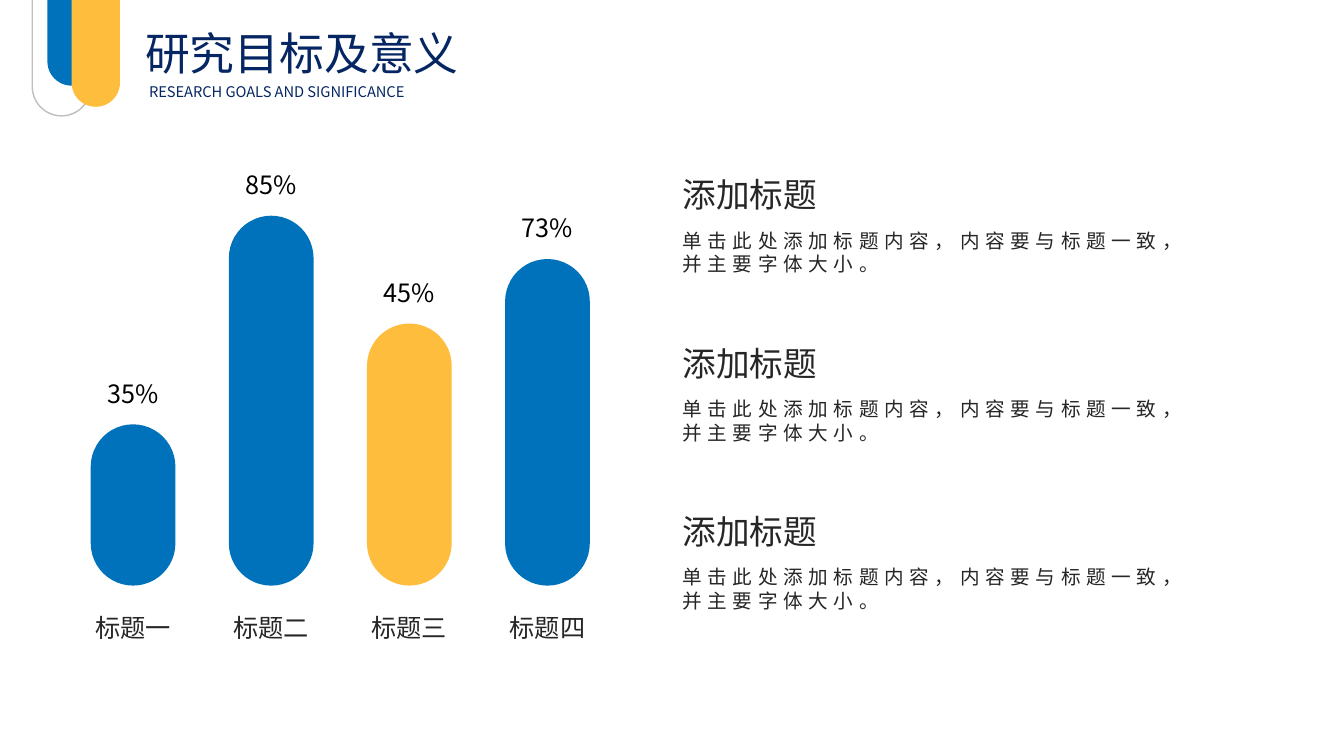
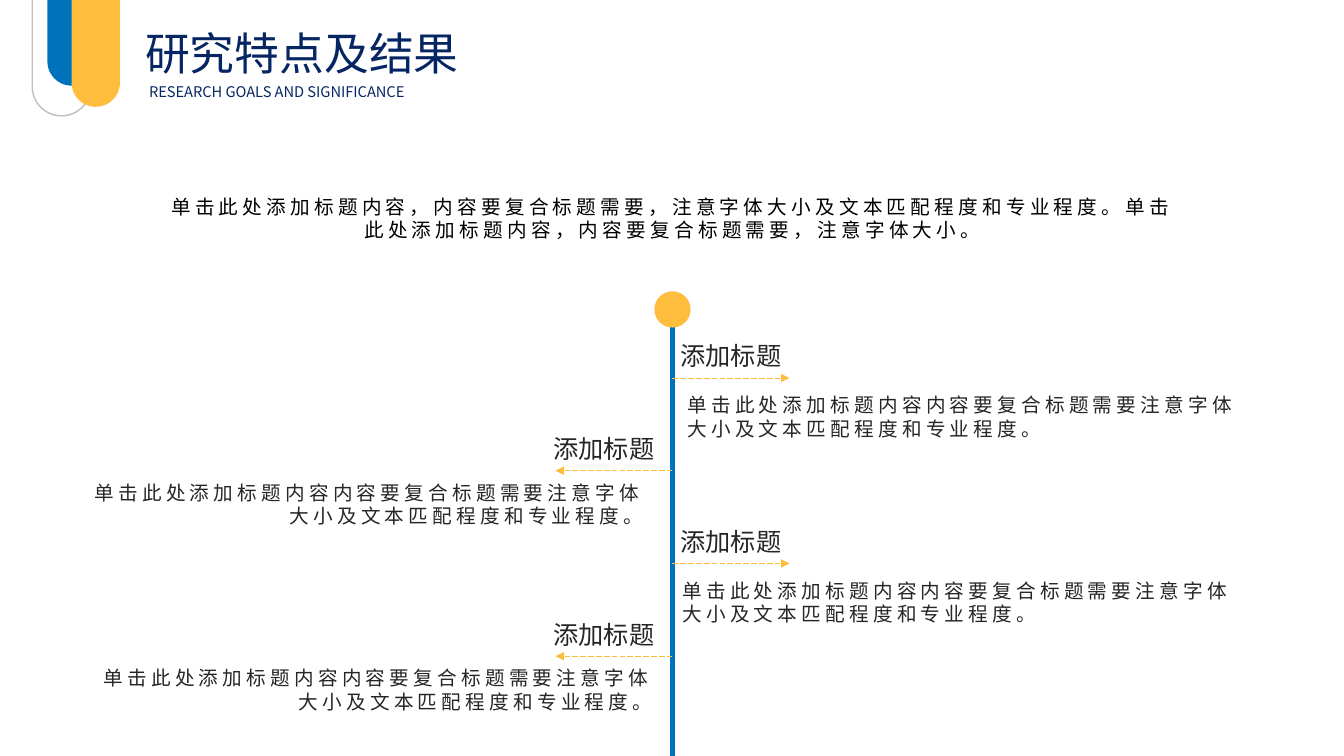
from lxml.etree import SubElement
from pptx import Presentation
from pptx.dml.color import RGBColor
from pptx.enum.dml import MSO_LINE
from pptx.enum.shapes import MSO_CONNECTOR, MSO_SHAPE
from pptx.enum.text import PP_ALIGN
from pptx.oxml.ns import qn
from pptx.util import Inches, Pt

BLUE = RGBColor(0x00, 0x72, 0xBB)
YELLOW = RGBColor(0xFE, 0xBD, 0x3D)
NAVY = RGBColor(0x05, 0x26, 0x63)
GRAY = RGBColor(0xBF, 0xBF, 0xBF)
DARK = RGBColor(0x26, 0x26, 0x26)
BLACK = RGBColor(0x00, 0x00, 0x00)
FONT = "Noto Sans CJK SC"

SUBTITLE = "RESEARCH GOALS AND SIGNIFICANCE"
ITEM_TITLE = "添加标题"
GOAL_TEXT = "单击此处添加标题内容，内容要与标题一致，并主要字体大小。"
RESULT_TEXT = "单击此处添加标题内容内容要复合标题需要注意字体大小及文本匹配程度和专业程度。"
INTRO_TEXT = (
    "单击此处添加标题内容，内容要复合标题需要，注意字体大小及文本匹配程度和专业程度。"
    "单击此处添加标题内容，内容要复合标题需要，注意字体大小。"
)


def add_text(slide, box, text, size, color, align=PP_ALIGN.LEFT, spacing=0):
    shape = slide.shapes.add_textbox(*map(Inches, box))
    shape.text_frame.word_wrap = True
    paragraph = shape.text_frame.paragraphs[0]
    paragraph.alignment = align
    run = paragraph.add_run()
    run.text = text
    run.font.size = Pt(size)
    run.font.color.rgb = color
    run.font.name = FONT
    properties = run.font._element
    SubElement(properties, qn("a:ea")).set("typeface", FONT)
    if spacing:
        properties.set("spc", str(spacing * 100))


def add_solid(slide, kind, box, fill=None, line=None):
    shape = slide.shapes.add_shape(kind, *map(Inches, box))
    shape.shadow.inherit = False
    if fill is None:
        shape.fill.background()
    else:
        shape.fill.solid()
        shape.fill.fore_color.rgb = fill
    if line is None:
        shape.line.fill.background()
    else:
        shape.line.color.rgb = line
        shape.line.width = Pt(1)
    return shape


def add_pill(slide, box, fill=None, line=None):
    pill = add_solid(slide, MSO_SHAPE.ROUNDED_RECTANGLE, box, fill, line)
    pill.adjustments[0] = 0.5


def add_line(slide, start, end, color, width):
    points = map(Inches, (*start, *end))
    connector = slide.shapes.add_connector(MSO_CONNECTOR.STRAIGHT, *points)
    connector.line.color.rgb = color
    connector.line.width = Pt(width)
    SubElement(connector._element.spPr, qn("a:effectLst"))
    return connector


def add_arrow(slide, start, end):
    connector = add_line(slide, start, end, YELLOW, 0.5)
    connector.line.dash_style = MSO_LINE.LONG_DASH
    SubElement(connector.line._get_or_add_ln(), qn("a:tailEnd")).set("type", "triangle")


def add_titled_slide(presentation, title):
    slide = presentation.slides.add_slide(presentation.slide_layouts[6])
    add_pill(slide, (0.32, -0.45, 0.58, 1.6), line=GRAY)
    add_pill(slide, (0.47, -0.55, 0.48, 1.4), BLUE)
    add_pill(slide, (0.71, -0.34, 0.48, 1.4), YELLOW)
    add_text(slide, (1.34, 0.21, 3.7, 0.64), title, 32, NAVY, PP_ALIGN.JUSTIFY)
    add_text(slide, (1.38, 0.77, 4.04, 0.29), SUBTITLE, 10.5, NAVY, PP_ALIGN.JUSTIFY)
    return slide


def add_bar(slide, left, bottom, height, value, label, fill):
    width = 0.84
    center = left + width / 2
    top = bottom - height
    add_pill(slide, (left, top, width, height), fill)
    add_text(slide, (center - 0.52, bottom + 0.22, 1.04, 0.4), label, 18, DARK, PP_ALIGN.CENTER)
    add_text(slide, (center - 0.45, top - 0.51, 0.9, 0.4), value, 18, BLACK, PP_ALIGN.CENTER)


def add_goal(slide, left, top):
    add_text(slide, (left, top, 1.79, 0.5), ITEM_TITLE, 24, DARK)
    add_text(slide, (left, top + 0.54, 5.09, 0.57), GOAL_TEXT, 14, DARK, spacing=4)


def add_branch(slide, spine, level, to_right, text_left):
    if to_right:
        tip, title_left, text_gap, align = spine + 1.16, spine - 0.15, 0.1, PP_ALIGN.LEFT
    else:
        tip, title_left, text_gap, align = spine - 1.16, spine - 1.41, 0.05, PP_ALIGN.RIGHT
    add_arrow(slide, (spine, level), (tip, level))
    add_text(slide, (title_left, level - 0.42, 1.46, 0.4), ITEM_TITLE, 18, DARK, PP_ALIGN.CENTER)
    add_text(slide, (text_left, level + text_gap, 5.87, 0.57), RESULT_TEXT, 14, DARK, align, 3)


def build_goals(presentation):
    slide = add_titled_slide(presentation, "研究目标及意义")
    bars = [
        (1.6, "35%", "标题一", BLUE),
        (3.67, "85%", "标题二", BLUE),
        (2.6, "45%", "标题三", YELLOW),
        (3.24, "73%", "标题四", BLUE),
    ]
    for index, bar in enumerate(bars):
        add_bar(slide, 0.9 + 1.37 * index, 5.81, *bar)
    for index in range(3):
        add_goal(slide, 6.67, 1.68 + 1.67 * index)


def build_results(presentation):
    slide = add_titled_slide(presentation, "研究特点及结果")
    add_text(slide, (1.55, 1.88, 10.24, 0.57), INTRO_TEXT, 14, BLACK, PP_ALIGN.CENTER, 3)
    spine = 6.67
    add_line(slide, (spine, 3.17), (spine, 7.5), BLUE, 3)
    add_solid(slide, MSO_SHAPE.OVAL, (spine - 0.18, 2.89, 0.36, 0.36), YELLOW)
    for index, text_left in enumerate((6.72, 0.61, 6.67, 0.7)):
        add_branch(slide, spine, 3.75 + 0.92 * index, index % 2 == 0, text_left)


def main():
    presentation = Presentation()
    presentation.slide_width = Inches(13.33)
    presentation.slide_height = Inches(7.5)
    build_goals(presentation)
    build_results(presentation)
    presentation.save("out.pptx")


if __name__ == "__main__":
    main()
